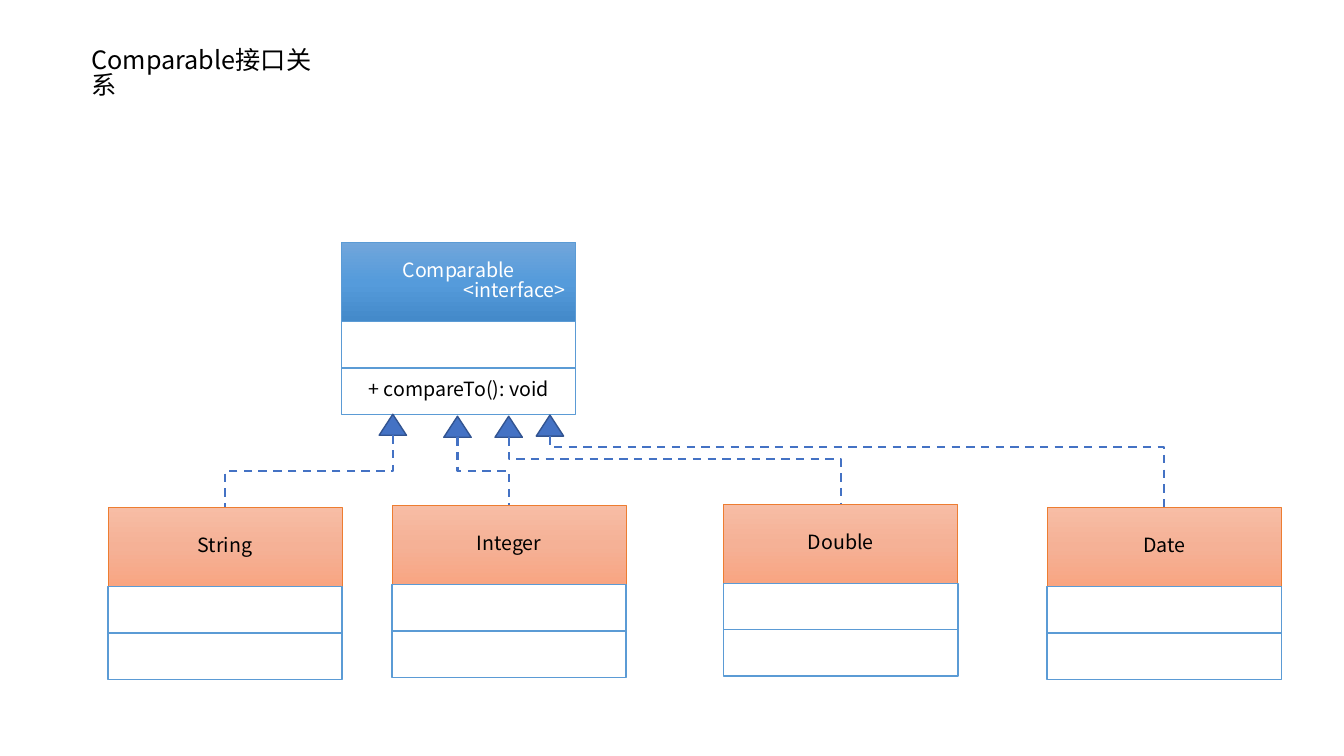
import copy
import pptx
import pptx.util
import pptx.dml.color
import pptx.enum.dml
import pptx.enum.shapes
import pptx.enum.text
import pptx.oxml
import pptx.oxml.ns

Cm, Pt = pptx.util.Cm, pptx.util.Pt
Rgb = pptx.dml.color.RGBColor.from_string
Shape = pptx.enum.shapes.MSO_SHAPE
Align = pptx.enum.text.PP_ALIGN
qn = pptx.oxml.ns.qn

# Content: each class has a left and top, arrow tip x and y, and bend share
title = "Comparable接口关系"
base = ("Comparable", "<interface>")
method = "+ compareTo(): void"
kids = [
    ("String", 2.72, 12.78, 9.9, 10.44, 0.5),
    ("Integer", 9.88, 12.73, 11.53, 10.49, 0.5),
    ("Double", 18.24, 12.7, 12.82, 10.49, 0.33),
    ("Date", 26.39, 12.78, 13.86, 10.46, 0.15),
]

theme = {
    "font": "Noto Sans CJK SC", "title": 18, "body": 14, "lead": 0.82,
    "ink": "000000", "paper": "FFFFFF", "edge": "5B9BD5",
    "arrow": "4472C4", "rim": "325491",
    "blue": (("71A6DB", "559BDB", "448ACA"), "5B9BD5", "FFFFFF"),
    "peach": (("F7BDA5", "F5B196", "F8A582"), "ED7D31", "000000"),
}

# Sizes in cm
wide, head, row = 5.9, 2.0, 1.17
tip_w, tip_h = 0.69, 0.53

deck = pptx.Presentation()
deck.slide_width, deck.slide_height = Cm(33.87), Cm(19.05)
slide = deck.slides.add_slide(deck.slide_layouts[6])
shapes = slide.shapes


def write(frame, lines, size, color, aligns):
    frame.word_wrap = True
    frame.text = "\n".join(lines)
    for para, align in zip(frame.paragraphs, aligns):
        para.alignment = align
        para.line_spacing = theme["lead"]
        font = para.font
        font.name, font.size = theme["font"], Pt(size)
        font.color.rgb = Rgb(color)
        east = pptx.oxml.parse_xml(
            f'<a:ea {pptx.oxml.ns.nsdecls("a")} typeface="{theme["font"]}"/>')
        para._p.pPr.find(qn("a:defRPr")).find(qn("a:latin")).addnext(east)


def block(kind, x, y, w, h, fill, edge, weight=1):
    item = shapes.add_shape(kind, Cm(x), Cm(y), Cm(w), Cm(h))
    item.shadow.inherit = False
    item.line.color.rgb, item.line.width = Rgb(edge), Pt(weight)
    if isinstance(fill, str):
        item.fill.solid()
        item.fill.fore_color.rgb = Rgb(fill)
        return item
    item.fill.gradient()
    item.fill.gradient_angle = 270
    first = item._element.spPr.find(".//" + qn("a:gs"))
    first.addnext(copy.deepcopy(first))
    for n, (stop, color) in enumerate(zip(item.fill.gradient_stops, fill)):
        stop.position, stop.color.rgb = n / 2, Rgb(color)
    return item


def card(x, y, names, style, note=""):
    fill, edge, ink = theme[style]
    top = block(Shape.RECTANGLE, x, y, wide, head, fill, edge, 0.5)
    write(top.text_frame, names, theme["body"], ink, (Align.CENTER, Align.RIGHT))
    for n, text in enumerate(("", note)):
        cell = block(Shape.RECTANGLE, x, y + head + n * row, wide, row,
                     theme["paper"], theme["edge"])
        if text:
            write(cell.text_frame, [text], theme["body"], theme["ink"],
                  [Align.CENTER])


def link(x1, y1, x2, y2, bend):
    # A vertical-first elbow is a horizontal one turned about its centre
    run, drop = abs(x2 - x1), y2 - y1
    x, y = (x1 + x2 - drop) / 2, (y1 + y2 - run) / 2
    wire = shapes.add_connector(pptx.enum.shapes.MSO_CONNECTOR.ELBOW,
                                Cm(x), Cm(y), Cm(x + drop), Cm(y + run))
    wire.line.color.rgb, wire.line.width = Rgb(theme["arrow"]), Pt(1.5)
    wire.line.dash_style = pptx.enum.dml.MSO_LINE.DASH
    props = wire._element.spPr
    pptx.oxml.xmlchemy.OxmlElement("a:effectLst")
    props.append(pptx.oxml.xmlchemy.OxmlElement("a:effectLst"))
    frame = props.find(qn("a:xfrm"))
    frame.set("rot", str((90 if x2 < x1 else 270) * 60000))
    if x2 > x1:
        frame.set("flipH", "1")
    guide = pptx.oxml.xmlchemy.OxmlElement("a:gd")
    guide.set("name", "adj1")
    guide.set("fmla", f"val {round(bend * 100000)}")
    props.find(".//" + qn("a:avLst")).append(guide)


# Title
box = shapes.add_textbox(Cm(2.06), Cm(1.12), Cm(6.45), Cm(1.02))
write(box.text_frame, [title], theme["title"], theme["ink"], [Align.LEFT])

# Interface, then each class with its arrow
card(8.61, 6.1, base, "blue", method)
for name, x, y, tip_x, tip_y, bend in kids:
    card(x, y, [name], "peach")
    block(Shape.ISOSCELES_TRIANGLE, tip_x - tip_w / 2, tip_y, tip_w, tip_h,
          theme["arrow"], theme["rim"])
    link(tip_x, tip_y + tip_h, x + wide / 2, y, bend)

deck.save("out.pptx")
